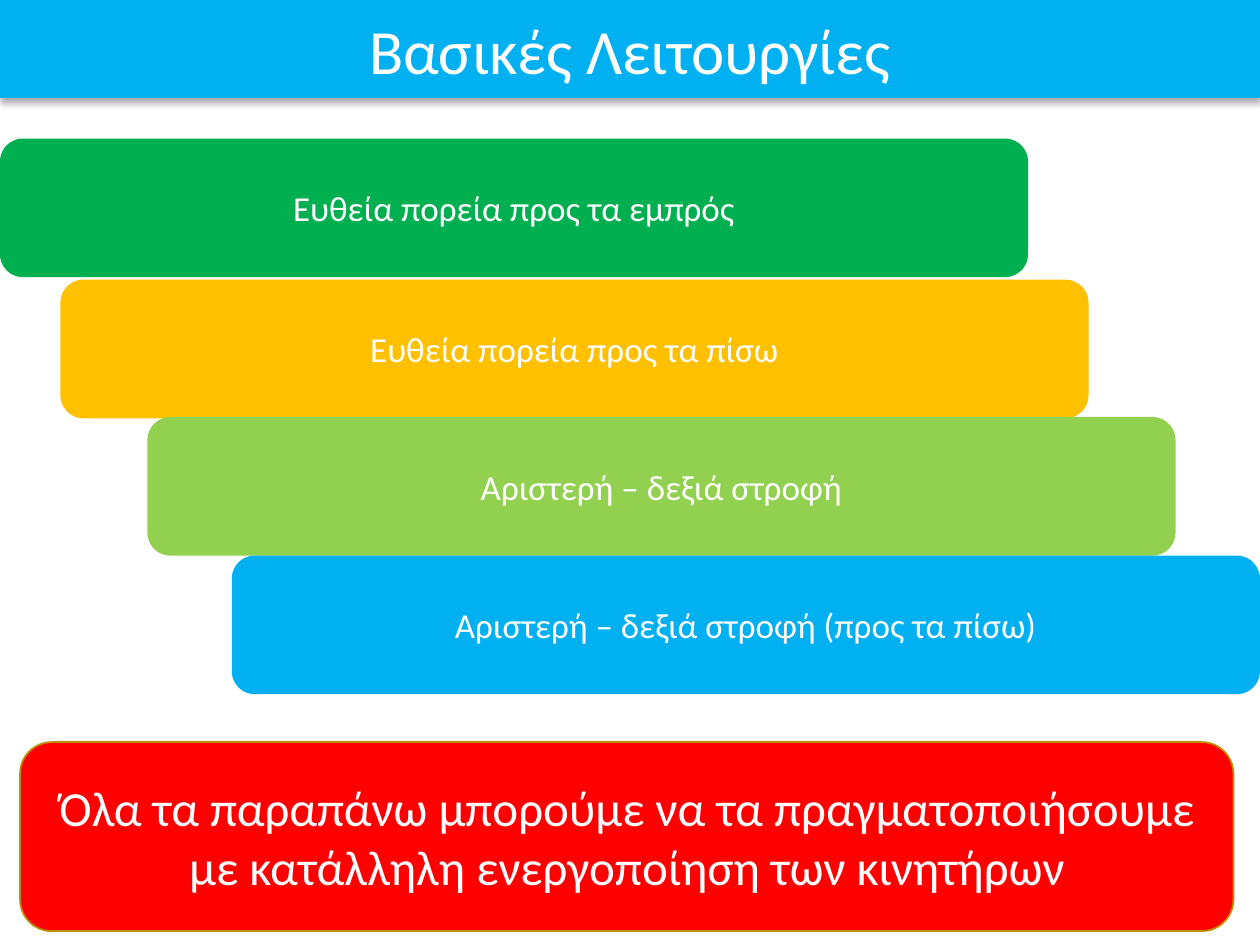
from lxml import etree
from pptx import Presentation
from pptx.dml.color import RGBColor
from pptx.enum.shapes import MSO_SHAPE
from pptx.enum.text import MSO_ANCHOR, PP_ALIGN
from pptx.oxml.ns import qn
from pptx.util import Inches, Pt

RECTANGLE = MSO_SHAPE.RECTANGLE
ROUNDED = MSO_SHAPE.ROUNDED_RECTANGLE
MIDDLE = MSO_ANCHOR.MIDDLE
CENTER = PP_ALIGN.CENTER

STEP_WIDTH, STEP_HEIGHT = 8.16, 1.1
STEPS = [
    (0, 1.1, "00B050", "Ευθεία πορεία προς τα εμπρός"),
    (0.48, 2.22, "FFC000", "Ευθεία πορεία προς τα πίσω"),
    (1.17, 3.31, "92D050", "Αριστερή – δεξιά στροφή"),
    (1.84, 4.41, "00B0F0", "Αριστερή – δεξιά στροφή (προς τα πίσω)"),
]
CONCLUSION = ("Όλα τα παραπάνω μπορούμε να τα πραγματοποιήσουμε "
              "με κατάλληλη ενεργοποίηση των κινητήρων")


def color(value):
    """Turn a hex string into a colour."""
    return RGBColor.from_string(value)


class SlideBuilder:
    """Hold the text style and the current slide."""

    font = "Calibri"
    text_color = "FFFFFF"

    def __init__(self, slide):
        """Keep the slide that receives the elements."""
        self.slide = slide

    def panel(self, kind, left, top, width, height, fill, text, size, line=None):
        """Add a filled shape with centred text."""
        box = self.slide.shapes.add_shape(
            kind, Inches(left), Inches(top), Inches(width), Inches(height))
        box.shadow.inherit = False
        box.fill.solid()
        box.fill.fore_color.rgb = color(fill)
        if line:
            box.line.color.rgb = color(line)
            box.line.width = Pt(1)
        else:
            box.line.fill.background()
        frame = box.text_frame
        frame.word_wrap = True
        frame.vertical_anchor = MIDDLE
        para = frame.paragraphs[0]
        para.alignment = CENTER
        span = para.add_run()
        span.text = text
        span.font.name = self.font
        span.font.size = Pt(size)
        span.font.color.rgb = color(self.text_color)
        return box

    def drop_shadow(self, box, blur, distance, opacity):
        """Give a shape a soft black shadow falling straight down."""
        effects = box.element.spPr.find(qn("a:effectLst"))
        shadow = etree.SubElement(
            effects, qn("a:outerShdw"), blurRad=str(Pt(blur)),
            dist=str(Pt(distance)), dir="5400000", rotWithShape="0")
        tint = etree.SubElement(shadow, qn("a:srgbClr"), val="000000")
        etree.SubElement(tint, qn("a:alpha"), val=str(opacity * 1000))


def main():
    """Build the slide and save the deck."""
    deck = Presentation()
    deck.slide_width, deck.slide_height = Inches(10), Inches(7.5)
    page = SlideBuilder(deck.slides.add_slide(deck.slide_layouts[6]))
    title = page.panel(RECTANGLE, 0, 0, 10, 0.78, "00B0F0",
                       "Βασικές Λειτουργίες", 36)
    page.drop_shadow(title, blur=3.5, distance=2.2, opacity=32)
    for left, top, fill, text in STEPS:
        page.panel(ROUNDED, left, top, STEP_WIDTH, STEP_HEIGHT, fill, text, 20)
    page.panel(ROUNDED, 0.16, 5.89, 9.63, 1.5, "FF0000", CONCLUSION, 28,
               line="BD8E00")
    deck.save("out.pptx")


if __name__ == "__main__":
    main()
